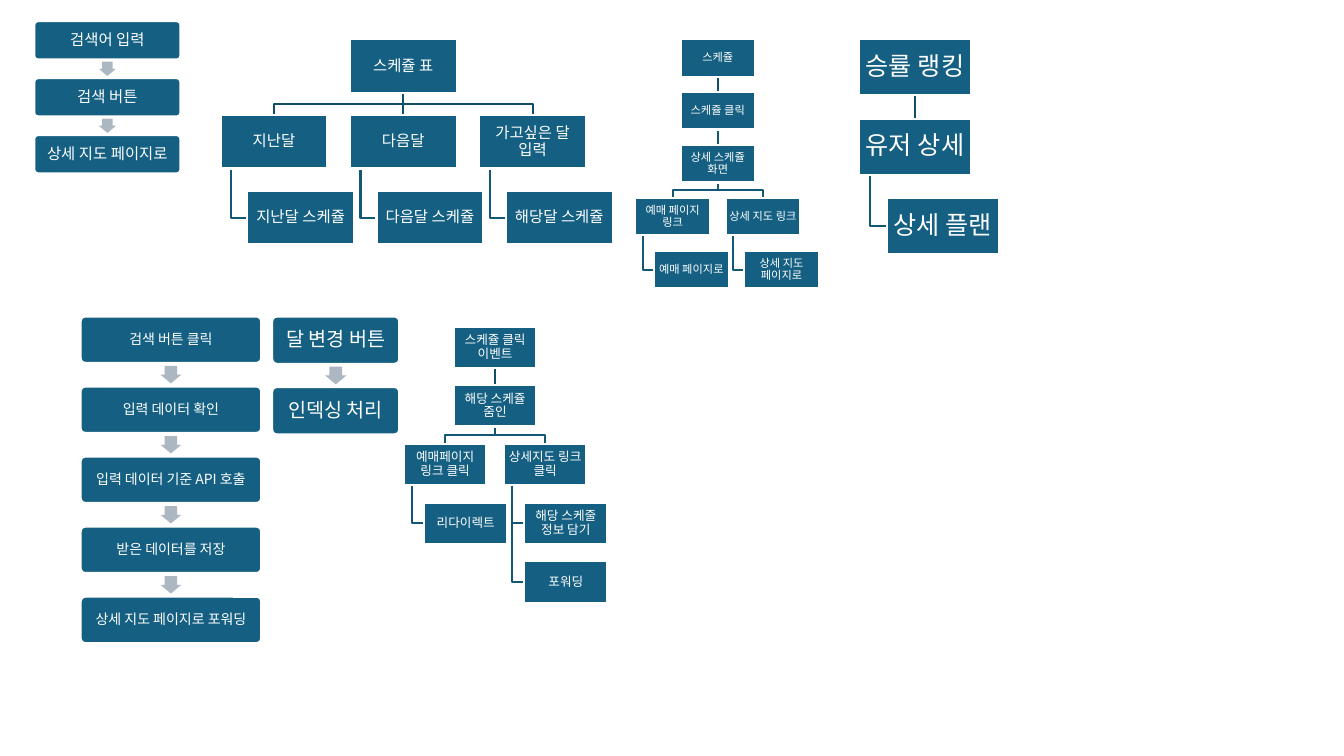
from lxml import etree
from pptx import Presentation
from pptx import util as u
from pptx.dml import color
from pptx.enum import shapes, text
from pptx.oxml import ns

COLORS = {"box": "156082", "edge": "FFFFFF", "text": "FFFFFF", "arrow": "ACB7C1",
          "root_line": "114D68", "branch_line": "135776"}
FONT = "Noto Sans CJK KR"

FLOWS = [
    dict(left=0.34, top=0.21, last_top=1.34, width=1.45, height=0.38, size=11, inset=0.06,
         steps=["검색어 입력", "검색 버튼", "상세 지도 페이지로"]),
    dict(left=0.8, top=3.14, last_top=5.92, width=1.79, height=0.46, size=10, inset=0.05,
         steps=["검색 버튼 클릭", "입력 데이터 확인", "입력 데이터 기준 API 호출",
                "받은 데이터를 저장", "상세 지도 페이지로 포워딩"]),
    dict(left=2.7, top=3.14, last_top=3.84, width=1.26, height=0.47, size=14, inset=0.07,
         steps=["달 변경 버튼", "인덱싱 처리"]),
]

SCHEDULE_TABLE = ("스케쥴 표", [
    ("지난달", [("지난달 스케쥴", [])]),
    ("다음달", [("다음달 스케쥴", [])]),
    ("가고싶은 달 입력", [("해당달 스케쥴", [])])])
SCHEDULE = ("스케쥴", [("스케쥴 클릭", [("상세 스케쥴 화면", [
    ("예매 페이지 링크", [("예매 페이지로", [])]),
    ("상세 지도 링크", [("상세 지도 페이지로", [])])])])])
RANKING = ("승률 랭킹", [("유저 상세", [("상세 플랜", [])])])
CLICK_EVENT = ("스케쥴 클릭 이벤트", [("해당 스케쥴 줌인", [
    ("예매페이지 링크 클릭", [("리다이렉트", [])]),
    ("상세지도 링크 클릭", [("해당 스케줄 정보 담기", []), ("포워딩", [])])])])

TREES = [
    dict(node=SCHEDULE_TABLE, left=3.47, top=0.39, width=1.06, size=11, hang_depth=1),
    dict(node=SCHEDULE, left=6.75, top=0.39, width=0.74, size=8, hang_depth=3),
    dict(node=RANKING, left=8.52, top=0.39, width=1.11, size=18, hang_depth=1),
    dict(node=CLICK_EVENT, left=4.5, top=3.24, width=0.82, size=9, hang_depth=2),
]


class Diagram:
    """Draws flows and trees of labelled boxes on one slide."""

    def __init__(self, slide):
        self.slide = slide

    def color(self, name):
        return color.RGBColor.from_string(COLORS[name])

    def label(self, shape, words, *, size, inset):
        frame = shape.text_frame
        frame.word_wrap = True
        frame.vertical_anchor = text.MSO_ANCHOR.MIDDLE
        frame.margin_left = frame.margin_right = u.Inches(inset)
        frame.margin_top = frame.margin_bottom = u.Inches(inset)
        paragraph = frame.paragraphs[0]
        paragraph.alignment = text.PP_ALIGN.CENTER
        paragraph.line_spacing = 0.9
        run = paragraph.add_run()
        run.text = words
        run.font.size = u.Pt(size)
        run.font.color.rgb = self.color("text")
        run.font.name = FONT
        properties = run._r.get_or_add_rPr()
        etree.SubElement(properties, ns.qn("a:ea")).set("typeface", FONT)

    def shape(self, kind, left, top, width, height, fill):
        shape = self.slide.shapes.add_shape(
            kind, u.Inches(left), u.Inches(top), u.Inches(width), u.Inches(height))
        shape.shadow.inherit = False
        shape.fill.solid()
        shape.fill.fore_color.rgb = self.color(fill)
        return shape

    def box(self, kind, left, top, width, height, words, size, inset):
        box = self.shape(kind, left, top, width, height, "box")
        box.line.color.rgb = self.color("edge")
        box.line.width = u.Pt(1.5)
        self.label(box, words, size=size, inset=inset)
        return box

    def arrow(self, center_x, center_y, length, breadth):
        arrow = self.shape(shapes.MSO_SHAPE.RIGHT_ARROW, center_x - length / 2,
                           center_y - breadth / 2, length, breadth, "arrow")
        arrow.adjustments[0], arrow.adjustments[1] = 0.6, 0.5
        arrow.rotation = 90
        arrow.line.fill.background()

    def link(self, points, line_color):
        points = [(u.Inches(x), u.Inches(y)) for x, y in points]
        if len(points) == 2:
            link = self.slide.shapes.add_connector(
                shapes.MSO_CONNECTOR.STRAIGHT, *points[0], *points[1])
            etree.SubElement(link._element.spPr, ns.qn("a:effectLst"))
        else:
            builder = self.slide.shapes.build_freeform(*points[0])
            builder.add_line_segments(points[1:], close=False)
            link = builder.convert_to_shape()
            link.shadow.inherit = False
            link.fill.background()
        link.line.color.rgb = self.color(line_color)
        link.line.width = u.Pt(1.5)

    def flow(self, left, top, last_top, width, height, size, inset, steps):
        pitch = (last_top - top) / (len(steps) - 1)
        for index, words in enumerate(steps):
            step_top = top + index * pitch
            if index:
                gap_middle = step_top - (pitch - height) / 2
                self.arrow(left + width / 2, gap_middle, 0.375 * height, 0.45 * height)
            box = self.box(shapes.MSO_SHAPE.ROUNDED_RECTANGLE, left, step_top,
                           width, height, words, size, inset)
            box.adjustments[0] = 0.1

    def tree(self, node, left, top, width, size, hang_depth, depth=0):
        words, children = node
        height, pitch = width / 2, 0.71 * width
        bottom, center = top + height, left + width / 2
        for index, child in enumerate(children):
            if depth >= hang_depth:
                child_left, child_top = left + 0.25 * width, top + (index + 1) * pitch
                stem, middle = left + 0.1 * width, child_top + height / 2
                points = [(stem, bottom), (stem, middle), (child_left, middle)]
            else:
                shift = (index - (len(children) - 1) / 2) * 1.21 * width
                child_left, child_top = left + shift, top + pitch
                middle = (bottom + child_top) / 2
                points = [(center, bottom), (center + shift, child_top)]
                if shift:
                    points[1:1] = [(center, middle), (center + shift, middle)]
            self.link(points, "branch_line" if depth else "root_line")
            self.tree(child, child_left, child_top, width, size, hang_depth, depth + 1)
        self.box(shapes.MSO_SHAPE.RECTANGLE, left, top, width, height, words, size, 0.01)


def main():
    presentation = Presentation()
    presentation.slide_width = u.Inches(13.33)
    presentation.slide_height = u.Inches(7.5)
    diagram = Diagram(presentation.slides.add_slide(presentation.slide_layouts[6]))
    for flow in FLOWS:
        diagram.flow(**flow)
    for tree in TREES:
        diagram.tree(**tree)
    presentation.save("out.pptx")


if __name__ == "__main__":
    main()
